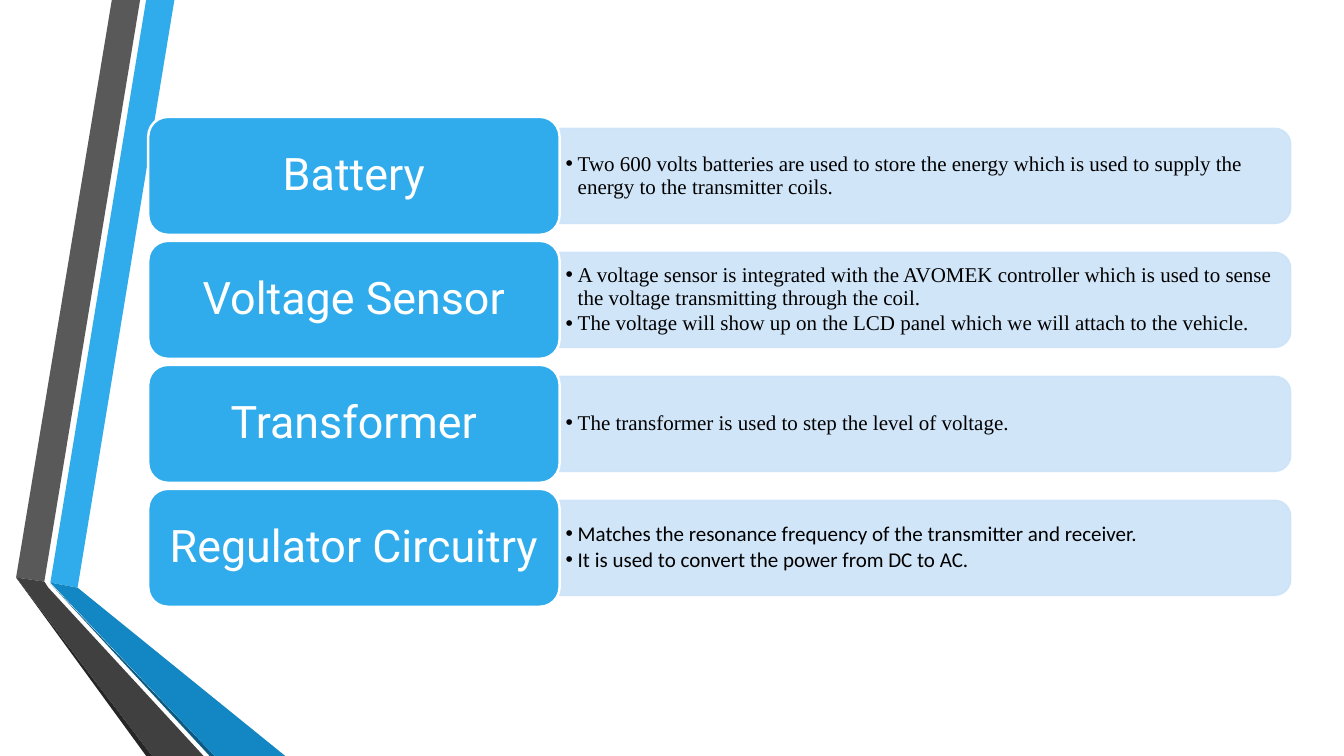
from dataclasses import dataclass
from typing import Any

from lxml.etree import SubElement
from pptx import Presentation
from pptx.dml.color import RGBColor
from pptx.enum.shapes import MSO_SHAPE
from pptx.enum.text import MSO_ANCHOR, MSO_AUTO_SIZE, PP_ALIGN
from pptx.oxml.ns import qn
from pptx.util import Inches, Pt

BLUE = "30ACEC"
PALE_BLUE = "CDE3F8"
WHITE = "FFFFFF"
BLACK = "000000"
SERIF = "Times New Roman"

FIRST_TOP, ROW_PITCH = 1.16, 1.23
LABEL_LEFT, LABEL_WIDTH, LABEL_HEIGHT = 1.47, 4.08, 1.17
BAR_LEFT, BAR_WIDTH, BAR_HEIGHT = 5.55, 7.25, 0.94
DETAIL_WIDTH, DETAIL_HEIGHT = 7.21, 0.85
HANGING_INDENT = Inches(0.12)

LABEL_FRAME = {
    "word_wrap": True,
    "vertical_anchor": MSO_ANCHOR.MIDDLE,
    "margin_left": Inches(0.13),
    "margin_right": Inches(0.13),
    "margin_top": Inches(0.07),
    "margin_bottom": Inches(0.07),
}
DETAIL_FRAME = {
    "word_wrap": True,
    "auto_size": MSO_AUTO_SIZE.NONE,
    "vertical_anchor": MSO_ANCHOR.MIDDLE,
    "margin_left": Inches(0.06),
    "margin_right": Inches(0.06),
    "margin_top": Inches(0.03),
    "margin_bottom": Inches(0.03),
}
LABEL_PARAGRAPH = {"alignment": PP_ALIGN.CENTER, "line_spacing": 0.9}
DETAIL_PARAGRAPH = {
    "level": 1,
    "alignment": PP_ALIGN.LEFT,
    "line_spacing": 0.9,
    "space_before": Pt(0),
    "space_after": Pt(2.25),
}


@dataclass(frozen=True)
class Strip:
    color: str
    points: tuple[tuple[float, float], ...]


@dataclass(frozen=True)
class Component:
    name: str
    details: tuple[str, ...]
    font: str = SERIF


STRIPS = (
    Strip(BLUE, ((0.5, 5.78), (0.77, 5.83), (1.73, 0), (1.45, 0))),
    Strip("595959", ((1.39, 0), (1.11, 0), (0.16, 5.73), (0.44, 5.77))),
    Strip("262626", ((0.16, 5.73), (1.45, 7.5), (1.51, 7.5))),
    Strip("0C5A82", ((0.5, 5.79), (2.08, 7.5), (2.13, 7.5))),
    Strip("1287C3", ((0.5, 5.78), (2.13, 7.5), (2.83, 7.5), (0.77, 5.83))),
    Strip("404040", ((2.02, 7.5), (0.48, 5.83), (0.44, 5.77), (0.16, 5.73), (1.51, 7.5))),
)

COMPONENTS = (
    Component("Battery", (
        "Two 600 volts batteries are used to store the energy which is used to supply the energy to the transmitter coils.",
    )),
    Component("Voltage Sensor", (
        "A voltage sensor is integrated with the AVOMEK controller which is used to sense the voltage transmitting through the coil.",
        "The voltage will show up on the LCD panel which we will attach to the vehicle.",
    )),
    Component("Transformer", ("The transformer is used to step the level of voltage.",)),
    Component("Regulator Circuitry", (
        "Matches the resonance frequency of the transmitter and receiver.",
        "It is used to convert the power from DC to AC.",
    ), "Calibri"),
)


def rgb(color: str) -> RGBColor:
    return RGBColor.from_string(color)


def apply_format(target: Any, values: dict[str, Any]) -> None:
    for attribute, value in values.items():
        setattr(target, attribute, value)


def paint(shape: Any, fill: str, line: str = "", line_width: float = 0) -> None:
    shape.shadow.inherit = False
    shape.fill.solid()
    shape.fill.fore_color.rgb = rgb(fill)
    if line:
        shape.line.color.rgb = rgb(line)
        shape.line.width = Pt(line_width)
    else:
        shape.line.fill.background()


def write(paragraph: Any, text: str, layout: dict[str, Any], font: str, size: int, color: str) -> None:
    paragraph.text = text
    apply_format(paragraph, layout)
    apply_format(paragraph.font, {"name": font, "size": Pt(size), "bold": False})
    paragraph.font.color.rgb = rgb(color)


def add_bullet(paragraph: Any) -> None:
    properties = paragraph._p.get_or_add_pPr()
    properties.set("marL", str(HANGING_INDENT))
    properties.set("indent", str(-HANGING_INDENT))
    SubElement(properties, qn("a:buChar")).set("char", "•")


def draw_strip(slide: Any, strip: Strip) -> None:
    start, *corners = [(Inches(x), Inches(y)) for x, y in strip.points]
    outline = slide.shapes.build_freeform(*start)
    outline.add_line_segments(corners, close=True)
    paint(outline.convert_to_shape(), strip.color)


def draw_bar(slide: Any, middle: float) -> None:
    center = BAR_LEFT + BAR_WIDTH / 2
    bar = slide.shapes.add_shape(
        MSO_SHAPE.ROUND_2_SAME_RECTANGLE,
        Inches(center - BAR_HEIGHT / 2), Inches(middle - BAR_WIDTH / 2),
        Inches(BAR_HEIGHT), Inches(BAR_WIDTH),
    )
    bar.rotation = 90
    paint(bar, PALE_BLUE, PALE_BLUE, 1.25)
    for color in bar._element.spPr.iter(qn("a:srgbClr")):
        SubElement(color, qn("a:alpha")).set("val", "90000")


def fill_details(slide: Any, details: Any, component: Component, middle: float) -> None:
    slide.shapes._spTree.append(details._element)
    apply_format(details, {
        "left": Inches(BAR_LEFT),
        "top": Inches(middle - DETAIL_HEIGHT / 2),
        "width": Inches(DETAIL_WIDTH),
        "height": Inches(DETAIL_HEIGHT),
    })
    frame = details.text_frame
    apply_format(frame, DETAIL_FRAME)
    for position, detail in enumerate(component.details):
        paragraph = frame.add_paragraph() if position else frame.paragraphs[0]
        write(paragraph, detail, DETAIL_PARAGRAPH, component.font, 15, BLACK)
        add_bullet(paragraph)


def draw_label(slide: Any, name: str, top: float) -> None:
    label = slide.shapes.add_shape(
        MSO_SHAPE.ROUNDED_RECTANGLE,
        Inches(LABEL_LEFT), Inches(top), Inches(LABEL_WIDTH), Inches(LABEL_HEIGHT),
    )
    paint(label, BLUE, WHITE, 1.75)
    apply_format(label.text_frame, LABEL_FRAME)
    write(label.text_frame.paragraphs[0], name, LABEL_PARAGRAPH, "Roboto", 32, WHITE)


def main() -> None:
    presentation = Presentation()
    apply_format(presentation, {"slide_width": Inches(13.33), "slide_height": Inches(7.5)})
    comparison = presentation.slide_layouts.get_by_name("Comparison")
    slide = presentation.slides.add_slide(comparison)
    title, *detail_boxes = slide.placeholders
    slide.shapes._spTree.remove(title._element)

    for strip in STRIPS:
        draw_strip(slide, strip)
    for row, (component, details) in enumerate(zip(COMPONENTS, detail_boxes)):
        top = FIRST_TOP + row * ROW_PITCH
        middle = top + LABEL_HEIGHT / 2
        draw_bar(slide, middle)
        fill_details(slide, details, component, middle)
        draw_label(slide, component.name, top)

    presentation.save("out.pptx")


if __name__ == "__main__":
    main()
